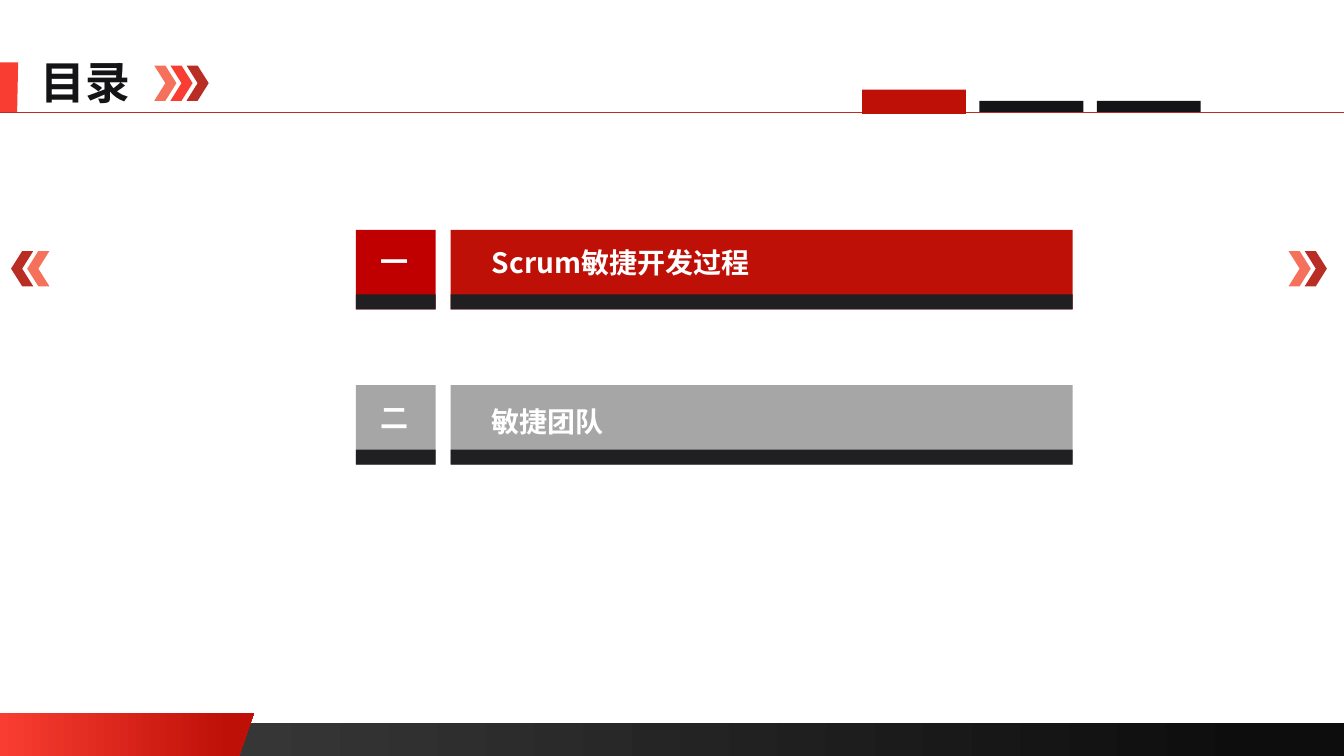
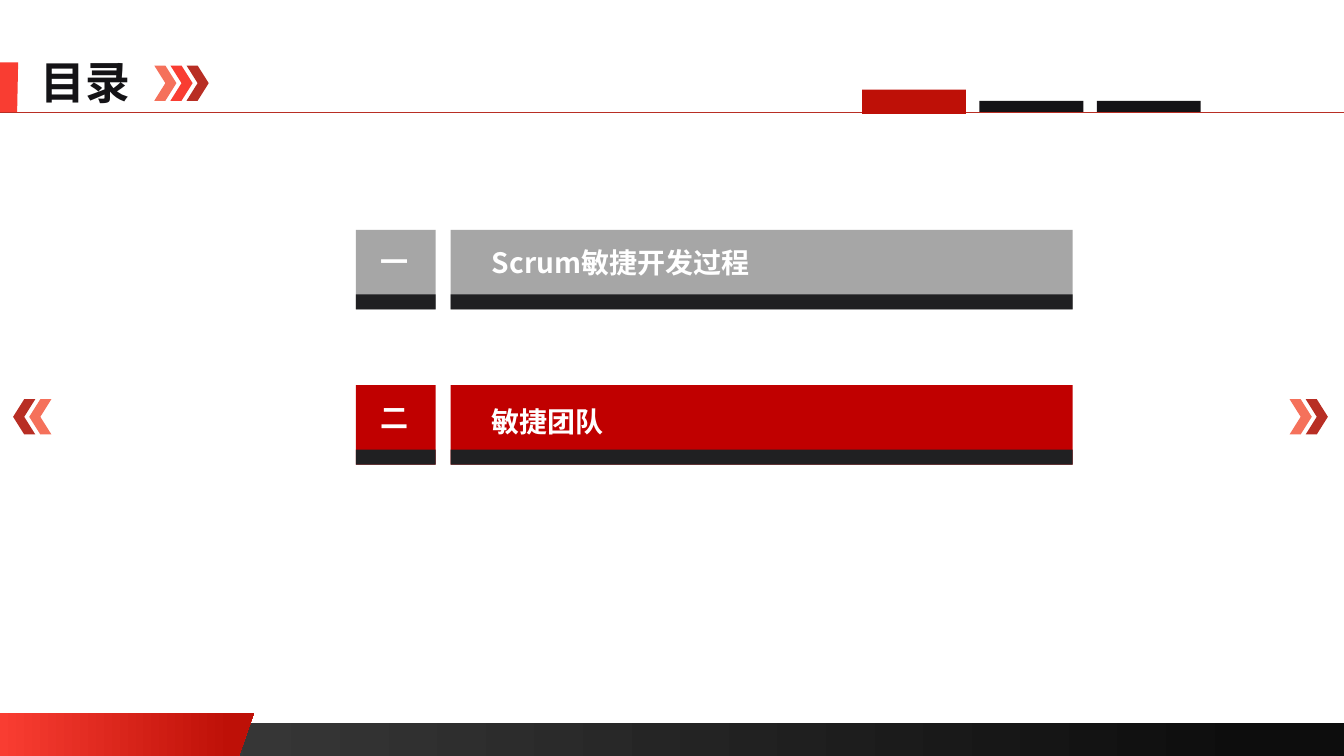
from dataclasses import dataclass

from lxml.etree import SubElement
from pptx import Presentation
from pptx.dml.color import RGBColor
from pptx.enum.shapes import MSO_CONNECTOR, MSO_SHAPE
from pptx.enum.text import MSO_ANCHOR, MSO_AUTO_SIZE, PP_ALIGN
from pptx.oxml.ns import qn
from pptx.util import Inches, Pt


@dataclass(frozen=True)
class Theme:
    font: str = "Noto Sans CJK SC"
    title_size: int = 32
    item_size: int = 20
    ink: str = "141316"
    strip: str = "202022"
    white: str = "FFFFFF"
    muted: str = "A6A6A6"
    active: str = "C00000"
    red: str = "BE1007"
    bright: str = "F93D32"
    coral: str = "F5715B"
    brick: str = "B82E24"
    band_start: str = "404040"
    band_end: str = "0D0D0D"


THEME = Theme()
WIDTH, HEIGHT = 13.33, 7.5

# Content: numeral, label, drop of the label below the top of its bar
TITLE = "目录"
AGENDA = [("一", "Scrum敏捷开发过程", 0.11), ("二", "敏捷团队", 0.14)]
# Each slide: current item, colour of its bar, left and right markers, their top
SLIDES = [
    {"current": 0, "bar": THEME.red, "left": 0.27, "right": 12.78, "top": 2.49},
    {"current": 1, "bar": THEME.active, "left": 0.29, "right": 12.79, "top": 3.96},
]

# Agenda grid
ROW_TOP, ROW_PITCH, ROW_HEIGHT, STRIP_HEIGHT = 2.28, 1.54, 0.79, 0.15
NUMBER_LEFT, NUMBER_WIDTH = 3.53, 0.79
BAR_LEFT, BAR_WIDTH = 4.47, 6.17

# Header
RULE_TOP = 1.11
TAB_LEFT, TAB_PITCH, TAB_WIDTH = 8.55, 1.165, 1.03
CHEVRON_STEP = 0.16


def rgb(color):
    return RGBColor.from_string(color)


def paint(shape, color, end_color=None, end=1.0):
    """Solid fill, or a left-to-right gradient when an end colour is given."""
    shape.shadow.inherit = False
    shape.line.fill.background()
    if end_color is None:
        shape.fill.solid()
        shape.fill.fore_color.rgb = rgb(color)
        return
    shape.fill.gradient()
    shape.fill.gradient_angle = 0
    stops = shape.fill.gradient_stops
    for stop, position, tone in zip(stops, (0, end), (color, end_color)):
        stop.position = position
        stop.color.rgb = rgb(tone)


def add_block(shapes, box, *colors, kind=MSO_SHAPE.RECTANGLE):
    block = shapes.add_shape(kind, *map(Inches, box))
    paint(block, *colors)
    return block


def add_outline(shapes, points, *colors):
    corners = [(Inches(x), Inches(y)) for x, y in points]
    builder = shapes.build_freeform(*corners[0], scale=1.0)
    builder.add_line_segments(corners[1:], close=True)
    paint(builder.convert_to_shape(), *colors)


def add_chevrons(shapes, left, top, colors, backward=False):
    group = shapes.add_group_shape().shapes
    step = -CHEVRON_STEP if backward else CHEVRON_STEP
    for i, color in enumerate(colors):
        chevron = add_block(group, (left + i * step, top, 0.22, 0.35), color,
                            kind=MSO_SHAPE.CHEVRON)
        chevron.rotation = 180 if backward else 0


def write(frame, text, size, color, align=PP_ALIGN.LEFT, wrap=False):
    frame.word_wrap = wrap
    frame.auto_size = MSO_AUTO_SIZE.SHAPE_TO_FIT_TEXT
    frame.vertical_anchor = MSO_ANCHOR.TOP
    paragraph = frame.paragraphs[0]
    paragraph.alignment = align
    run = paragraph.add_run()
    run.text = text
    font = run.font
    font.name, font.size, font.bold = THEME.font, Pt(size), True
    font.color.rgb = rgb(color)
    SubElement(run.element if hasattr(run, "element") else font._element,
               qn("a:ea")).set("typeface", THEME.font)


def add_text(shapes, box, text, **options):
    frame = shapes.add_textbox(*map(Inches, box)).text_frame
    write(frame, text, THEME.item_size, THEME.white, **options)


def draw_frame(shapes):
    # Footer band and its red corner
    add_block(shapes, (0, 7.17, WIDTH, 0.33), THEME.band_start, THEME.band_end, 0.94)
    add_outline(shapes, [(0, 7.07), (2.52, 7.07), (2.37, HEIGHT), (0, HEIGHT)],
                THEME.bright, THEME.red, 0.91)
    # Title accent, rule and chevrons
    add_outline(shapes, [(0, 0.62), (0.18, 0.62), (0.17, 1.12), (0, 1.12)],
                THEME.bright)
    rule = shapes.add_connector(MSO_CONNECTOR.STRAIGHT, 0, Inches(RULE_TOP),
                                Inches(WIDTH), Inches(RULE_TOP))
    rule.line.color.rgb = rgb(THEME.brick)
    rule.line.width = Pt(0.5)
    SubElement(rule.element.spPr, qn("a:effectLst"))
    add_chevrons(shapes, 1.53, 0.65, (THEME.coral, THEME.bright, THEME.brick))
    # Progress tabs, the first one raised
    for i in range(3):
        add_block(shapes, (TAB_LEFT + i * TAB_PITCH, 1, TAB_WIDTH, 0.11), THEME.ink)
    add_block(shapes, (TAB_LEFT, 0.89, TAB_WIDTH, 0.24), THEME.red)


def prepare_layout(layout, shapes):
    """Draw the shared frame and hand its parts over to the layout."""
    for placeholder in list(layout.placeholders):
        if placeholder.placeholder_format.idx:
            placeholder.element.getparent().remove(placeholder.element)
    title = layout.placeholders[0]
    title.left, title.top, title.width, title.height = map(
        Inches, (0.3, 0.49, 1.1, 0.64))
    draw_frame(shapes)
    for part in list(shapes):
        if not part.is_placeholder:
            layout.element.cSld.spTree.append(part.element)


def draw_agenda(shapes, current, bar_color):
    for i, (numeral, label, drop) in enumerate(AGENDA):
        top = ROW_TOP + i * ROW_PITCH
        chosen = i == current
        row = shapes.add_group_shape().shapes
        columns = [
            (NUMBER_LEFT, NUMBER_WIDTH, THEME.active if chosen else THEME.muted),
            (BAR_LEFT, BAR_WIDTH, bar_color if chosen else THEME.muted),
        ]
        for left, width, color in columns:
            add_block(row, (left, top, width, ROW_HEIGHT), color)
            add_block(row, (left, top + ROW_HEIGHT - STRIP_HEIGHT, width,
                            STRIP_HEIGHT), THEME.strip)
        add_text(row, (3.67, top + 0.1, 0.48, 0.44), numeral, align=PP_ALIGN.CENTER)
        add_text(shapes, (BAR_LEFT + 0.31, top + drop, 2.89, 0.44), label, wrap=True)


def main():
    deck = Presentation()
    deck.slide_width, deck.slide_height = Inches(WIDTH), Inches(HEIGHT)
    layout = deck.slide_layouts.get_by_name("Title Only")
    for i, page in enumerate(SLIDES):
        slide = deck.slides.add_slide(layout)
        shapes = slide.shapes
        if i == 0:
            prepare_layout(layout, shapes)
        write(shapes.title.text_frame, TITLE, THEME.title_size, THEME.ink)
        # Side markers
        pair = (THEME.coral, THEME.brick)
        add_chevrons(shapes, page["right"], page["top"], pair)
        add_chevrons(shapes, page["left"], page["top"], pair, backward=True)
        draw_agenda(shapes, page["current"], page["bar"])
    deck.save("out.pptx")


if __name__ == "__main__":
    main()
